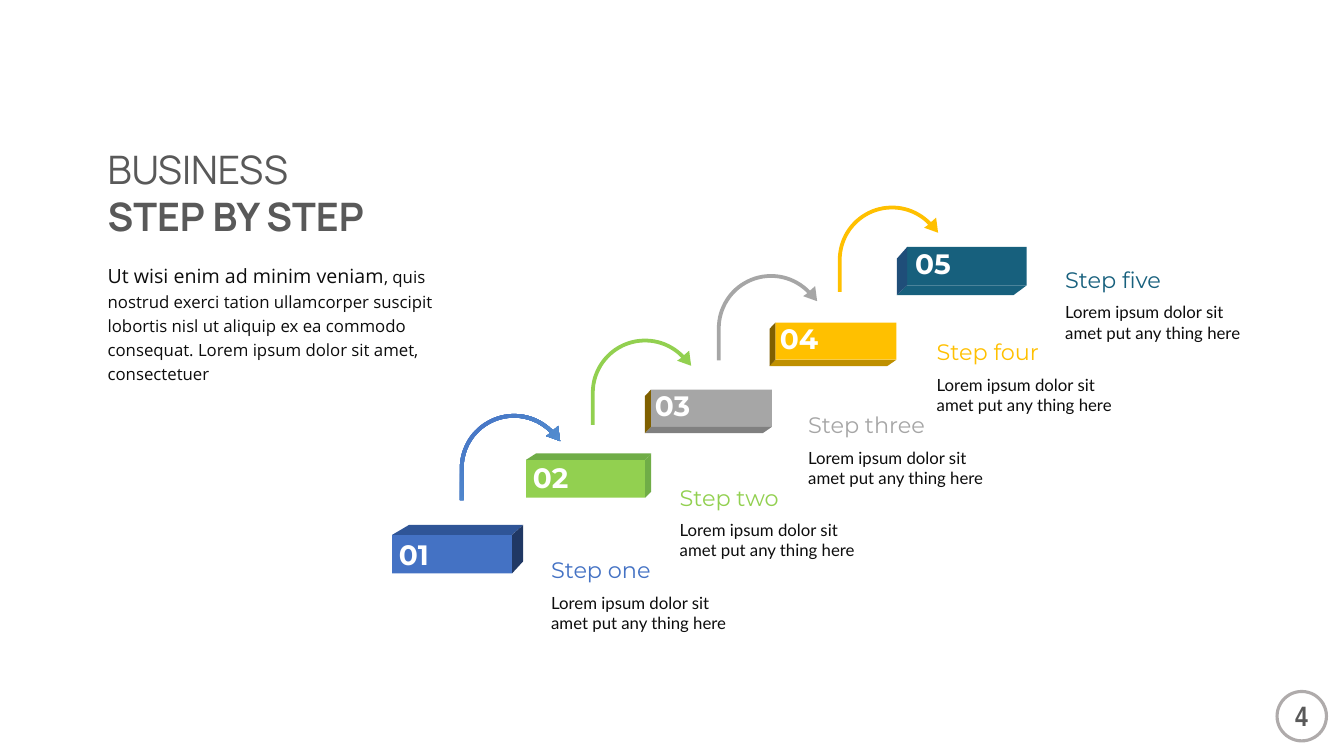
"""Build the five-step business staircase slide."""
import math
from dataclasses import dataclass
from typing import NamedTuple

from pptx import Presentation
from pptx.dml.color import RGBColor
from pptx.enum import shapes, text
from pptx.util import Pt


class Box(NamedTuple):
    """Left, top, width and height in points."""
    left: float
    top: float
    width: float
    height: float


@dataclass(frozen=True)
class Theme:
    """Colours, fonts and type sizes of the slide."""
    heading: str = "595959"
    ink: str = "0D0D0D"
    white: str = "FFFFFF"
    ring: str = "AFABAB"
    blue: str = "4472C4"
    sky: str = "5B9BD5"
    green: str = "92D050"
    grey: str = "A6A6A6"
    gold: str = "FFC000"
    teal: str = "17607D"
    navy: str = "2F5597"
    midnight: str = "203864"
    leaf: str = "70AD47"
    stone: str = "808080"
    bronze: str = "BF9000"
    brown: str = "806000"
    marine: str = "1F4E79"
    title_font: str = "Manrope"
    intro_font: str = "Open Sans"
    step_font: str = "Montserrat"
    note_font: str = "Lato"
    page_font: str = "Arial Narrow"
    title_size: int = 28
    number_size: int = 20
    step_size: int = 16
    lead_size: int = 14
    body_size: int = 12


THEME = Theme()


class Step(NamedTuple):
    """One stair: its name, block geometry, number offset and face colours."""
    name: str
    front: Box
    depth: tuple
    lead: float
    drop: float
    number: tuple
    colour: str
    slab: str
    side: str


STEPS = [
    Step("one", Box(280.1, 382.1, 85.7, 27.4), (7.9, -7.2), 12.2, -8.6,
         (-2.2, -2), THEME.blue, THEME.navy, THEME.midnight),
    Step("two", Box(375.8, 328.5, 85, 27), (4.3, -4.6), 7.2, -4.3,
         (-2.2, -3), THEME.green, THEME.leaf, THEME.leaf),
    Step("three", Box(465, 278.4, 86.4, 26.5), (-4.3, 4.5), -6.5, 4.5,
         (-4.2, -4.8), THEME.grey, THEME.stone, THEME.brown),
    Step("four", Box(553.9, 230.4, 86.4, 26.6), (-4.2, 4.5), -6.5, 4.5,
         (-3.9, -4.3), THEME.gold, THEME.bronze, THEME.brown),
    Step("five", Box(648, 176.4, 85.4, 27.4), (-7.4, 7), -9.4, 8.4,
         (-1.4, -3.6), THEME.teal, THEME.teal, THEME.marine),
]
ARROW_CORNERS = [(328.5, 295.7), (422.1, 241.9), (512.1, 195.8), (598.5, 146.9)]


def span(content, font, size, colour, bold=False):
    """Describe one run of text."""
    return content, font, size, colour, bold


def add_text(page, box, paras, spacing=None, grow=True, wrap=True):
    """Place a text box holding paragraphs made of spans."""
    frame = page.shapes.add_textbox(*map(Pt, box)).text_frame
    frame.word_wrap = wrap
    fit = text.MSO_AUTO_SIZE
    frame.auto_size = fit.SHAPE_TO_FIT_TEXT if grow else fit.NONE
    for index, spans in enumerate(paras):
        para = frame.add_paragraph() if index else frame.paragraphs[0]
        if spacing:
            para.line_spacing = spacing
        for content, font, size, colour, bold in spans:
            run = para.add_run()
            run.text = content
            run.font.name = font
            run.font.size = Pt(size)
            run.font.bold = bold
            run.font.color.rgb = RGBColor.from_string(colour)


def paint(shape, colour):
    """Give a shape a plain fill without line or shadow."""
    shape.shadow.inherit = False
    shape.fill.solid()
    shape.fill.fore_color.rgb = RGBColor.from_string(colour)
    shape.line.fill.background()


def add_outline(page, left, top, points, colour):
    """Draw a closed, filled outline relative to a corner."""
    corners = [(Pt(left + x), Pt(top + y)) for x, y in points]
    builder = page.shapes.build_freeform(*corners[0], scale=1.0)
    builder.add_line_segments(corners[1:], close=True)
    shape = builder.convert_to_shape()
    paint(shape, colour)
    return shape


def add_arrow(page, left, top, colour):
    """Draw a stem that bends over into an arrowhead."""
    centre, outer, inner, foot = 38.7, 38.7, 36, 61.6

    def arc(radius):
        """List points from the stem to the arrowhead."""
        angles = [math.radians(180 - 4 * turn) for turn in range(35)]
        return [(centre + radius * math.cos(angle),
                 centre - radius * math.sin(angle)) for angle in angles]

    head = [(70.2, 8.6), (71.6, 19.4), (61.6, 15.8)]
    points = [(0, foot), *arc(outer), *head, *reversed(arc(inner)),
              (centre - inner, foot)]
    return add_outline(page, left, top, points, colour)


def add_block(page, step, number):
    """Draw a solid block with its number on the front face."""
    left, top, width, height = step.front
    dx, dy = step.depth
    if dy < 0:
        near, far, edge, opposite = width, 0, 0, height
    else:
        near, far, edge, opposite = 0, width, height, 0
    front = page.shapes.add_shape(shapes.MSO_SHAPE.RECTANGLE, *map(Pt, step.front))
    paint(front, step.colour)
    slab = [(far, edge), (far + step.lead, edge + dy),
            (near + dx, edge + dy), (near, edge)]
    side = [(near, opposite), (near, edge), (near + dx, edge + dy),
            (near + dx, opposite + step.drop)]
    add_outline(page, left, top, slab, step.slab)
    add_outline(page, left, top, side, step.side)
    across, down = step.number
    add_text(page, Box(left + across, top + down, 46.1, 31.5),
             [[span(f"{number:02}", THEME.step_font, THEME.number_size,
                    THEME.white, True)]])


def add_caption(page, box, step):
    """Place a step's name above its note."""
    add_text(page, Box(box.left, box.top, box.width, 28.8),
             [[span(f"Step {step.name}", THEME.step_font, THEME.step_size,
                    step.colour)]], grow=False)
    add_text(page, Box(box.left, box.top + 25.9, 143.3, 36),
             [[span("Lorem ipsum dolor sit amet put any thing here",
                    THEME.note_font, THEME.body_size, THEME.ink)]])


def add_intro(page, box):
    """Place the two-line title and the opening paragraph."""
    add_text(page, Box(box.left, box.top, box.width, 74.9),
             [[span(line, THEME.title_font, THEME.title_size, THEME.heading, bold)]
              for line, bold in (("BUSINESS", False), ("STEP BY STEP", True))])
    add_text(page, Box(box.left, box.top + 81.4, 267.8, 95.8), [[
        span("Ut wisi enim ad minim veniam", THEME.intro_font,
             THEME.lead_size, THEME.ink),
        span(", quis nostrud exerci tation ullamcorper suscipit lobortis nisl ut "
             "aliquip ex ea commodo consequat. Lorem ipsum dolor sit amet, "
             "consectetuer", THEME.intro_font, THEME.body_size, THEME.ink),
    ]], spacing=1.2)


def add_staircase(page, box):
    """Place the blocks, captions and linking arrows of all steps."""
    for index, step in enumerate(STEPS):
        add_block(page, step, index + 1)
        add_caption(page, Box(box.left + 91.8 * index, box.top - 51.84 * index,
                              box.width, box.height), step)
    arrows = [add_arrow(page, *corner, step.colour)
              for corner, step in zip(ARROW_CORNERS, STEPS)]
    fill = arrows[0].fill
    fill.gradient()
    fill.gradient_angle = 310
    for stop, colour in zip(fill.gradient_stops, (THEME.blue, THEME.sky)):
        stop.color.rgb = RGBColor.from_string(colour)


def add_page_number(page, box):
    """Place the ringed page number."""
    ring = page.shapes.add_shape(shapes.MSO_SHAPE.OVAL, *map(Pt, box))
    ring.shadow.inherit = False
    ring.fill.background()
    ring.line.color.rgb = RGBColor.from_string(THEME.ring)
    ring.line.width = Pt(2.25)
    add_text(page, Box(box.left + 5.8, box.top + 1.5, 23.8, 31.5),
             [[span("4", THEME.page_font, THEME.number_size, THEME.heading, True)]],
             wrap=False)


def main():
    """Build and save the deck."""
    deck = Presentation()
    deck.slide_width, deck.slide_height = Pt(960), Pt(540)
    page = deck.slides.add_slide(deck.slide_layouts[6])
    add_intro(page, Box(69.8, 100.1, 349.9, 177.2))
    add_staircase(page, Box(386.6, 393.8, 169.2, 61.9))
    add_page_number(page, Box(912.2, 493.9, 35.3, 35.3))
    deck.save("out.pptx")


if __name__ == "__main__":
    main()
